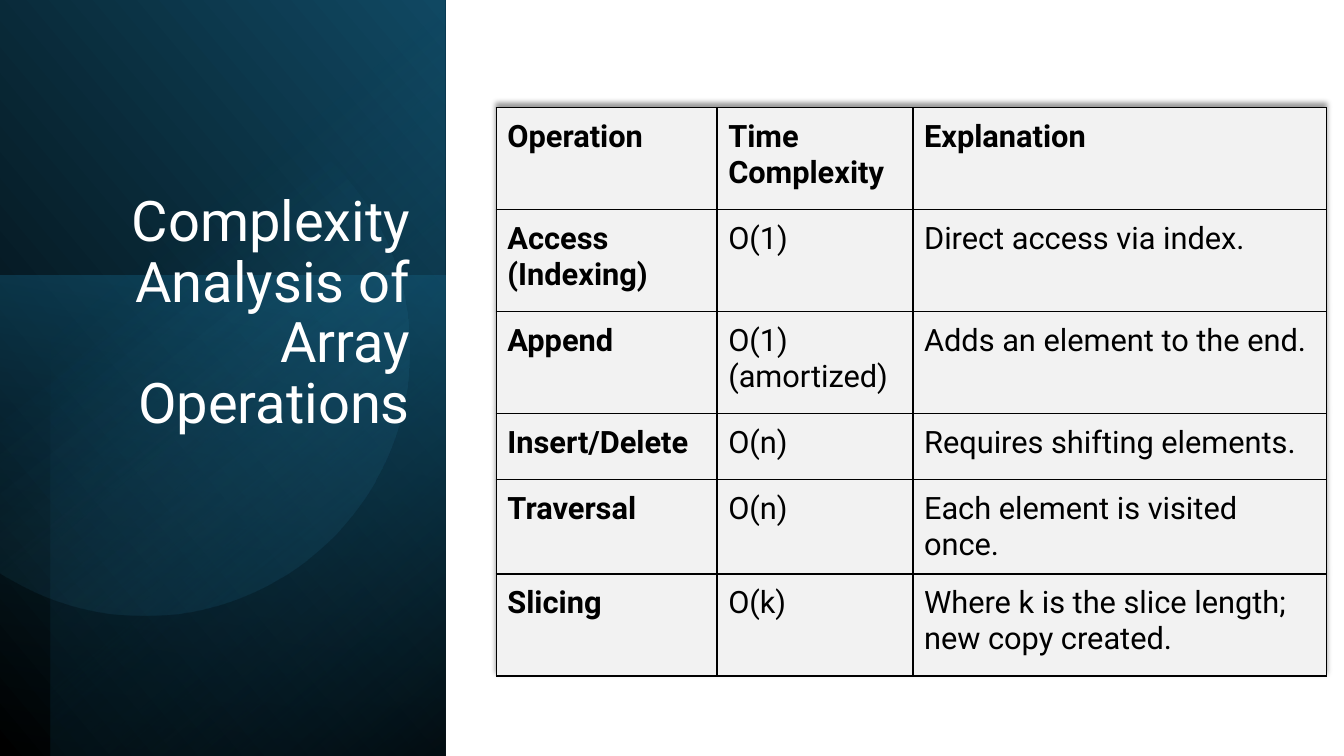
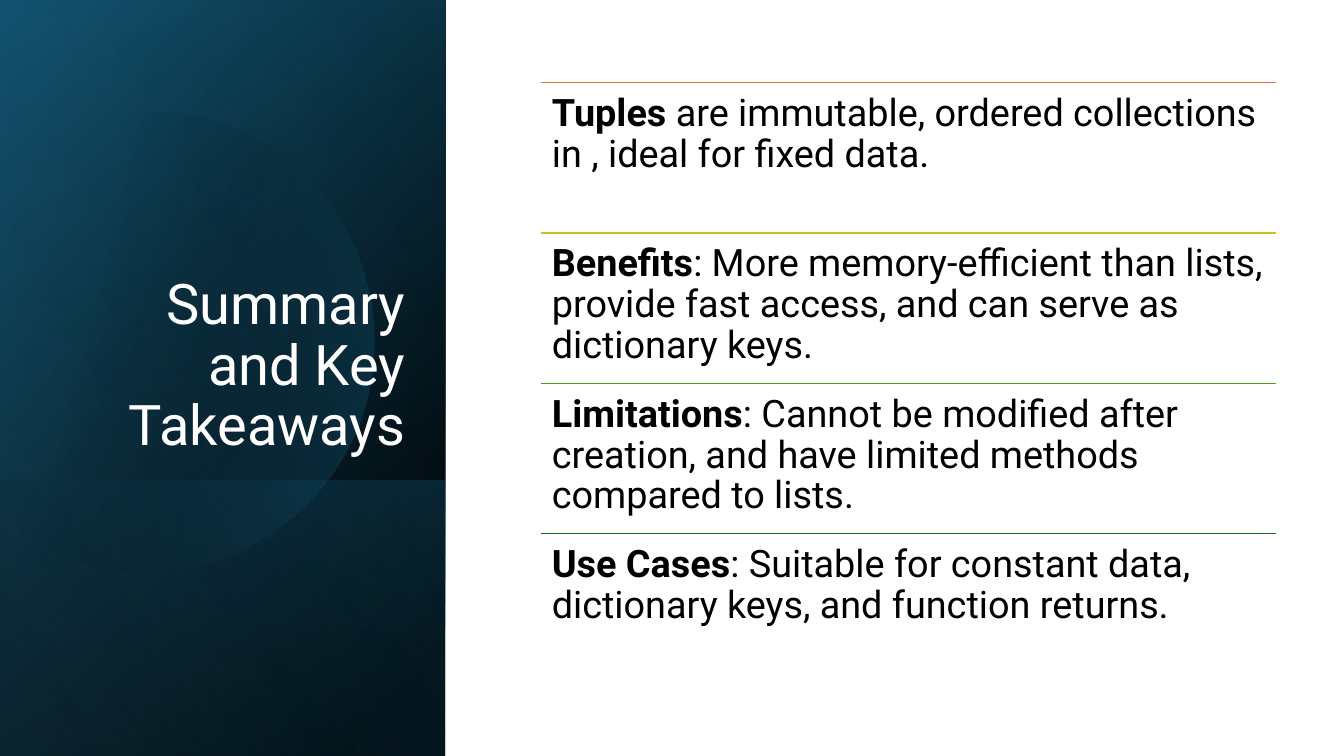
from dataclasses import dataclass
from math import acos, cos, pi, sin

from lxml.etree import SubElement
from pptx import Presentation
from pptx.dml.color import RGBColor
from pptx.enum.shapes import MSO_CONNECTOR as CONN, MSO_SHAPE as SHAPE
from pptx.enum.text import MSO_ANCHOR as ANCHOR, MSO_AUTO_SIZE as AUTOSIZE, PP_ALIGN as ALIGN
from pptx.oxml import parse_xml
from pptx.oxml.ns import nsdecls, qn
from pptx.util import Pt


@dataclass(frozen=True)
class Theme:
    font: str = "Roboto"
    black: str = "000000"
    white: str = "FFFFFF"
    cell: str = "F2F2F2"
    deep: str = "104862"
    night: str = "0B3041"
    teal: str = "156082"
    sky: str = "46B1E1"
    rules: tuple = ("E97132", "CBC11E", "56991D", "196B24")
    title_size: int = 40
    body_size: int = 27
    table_size: int = 22
    inset: int = 8
    side_w: int = 318


T = Theme()
rgb = RGBColor.from_string

OPERATIONS = [
    ("Operation", "Time Complexity", "Explanation"),
    ("Access (Indexing)", "O(1)", "Direct access via index."),
    ("Append", "O(1) (amortized)", "Adds an element to the end."),
    ("Insert/Delete", "O(n)", "Requires shifting elements."),
    ("Traversal", "O(n)", "Each element is visited once."),
    ("Slicing", "O(k)", "Where k is the slice length; new copy created."),
]

TAKEAWAYS = [
    ("Tuples", " are immutable, ordered collections in , ideal for fixed data."),
    ("Benefits", ": More memory-efficient than lists, provide fast access, "
                 "and can serve as dictionary keys."),
    ("Limitations", ": Cannot be modified after creation, and have limited "
                    "methods compared to lists."),
    ("Use Cases", ": Suitable for constant data, dictionary keys, and function returns."),
]


def add_text(p, text, size=T.body_size, color=T.black, bold=False, align=None, spacing=None):
    """Append one formatted run to paragraph p."""
    r = p.add_run()
    r.text = text
    r.font.name, r.font.size, r.font.bold = T.font, Pt(size), bold
    r.font.color.rgb = rgb(color)
    if align is not None:
        p.alignment = align
    if spacing is not None:
        p.line_spacing = spacing


def set_insets(frame):
    """Give a text frame or a table cell the common inset on all sides."""
    frame.margin_left = frame.margin_right = Pt(T.inset)
    frame.margin_top = frame.margin_bottom = Pt(T.inset)


def set_borders(cell, color=T.black, width=1):
    tc_pr = cell._tc.get_or_add_tcPr()
    for i, side in enumerate(("lnL", "lnR", "lnT", "lnB")):
        tc_pr.insert(i, parse_xml(
            f'<a:{side} {nsdecls("a")} w="{Pt(width)}"><a:solidFill>'
            f'<a:srgbClr val="{color}"/></a:solidFill></a:{side}>'))


class Deck:
    def __init__(self):
        self.prs = Presentation()
        self.prs.slide_width, self.prs.slide_height = Pt(960), Pt(540)
        self.s = None

    def new_slide(self):
        self.s = self.prs.slides.add_slide(self.prs.slide_layouts[5])

    def gradient(self, sp, stops, angle):
        """Fill sp with two (position, colour, opacity) stops; angle is clockwise."""
        sp.shadow.inherit = False
        sp.line.fill.background()
        sp.fill.gradient()
        sp.fill.gradient_angle = (360 - angle) % 360
        for stop, (position, color, _) in zip(sp.fill.gradient_stops, stops):
            stop.position = position / 100
            stop.color.rgb = rgb(color)
        for clr, (_, _, opacity) in zip(sp.element.spPr.iter(qn("a:srgbClr")), stops):
            if opacity < 100:
                SubElement(clr, qn("a:alpha")).set("val", str(opacity * 1000))

    def panel(self, stops, angle, x=0, y=0, w=T.side_w, h=540, turn=90, flip=True):
        """Quarter-turned rectangle that covers the box x, y, w, h on the slide."""
        dx = (w - h) / 2
        sp = self.s.shapes.add_shape(SHAPE.RECTANGLE, Pt(x + dx), Pt(y - dx), Pt(h), Pt(w))
        sp.rotation = turn
        if flip:
            sp.element.spPr.find(qn("a:xfrm")).set("flipH", "1")
        self.gradient(sp, stops, angle)

    def disc(self, cx, cy, radius, stops, angle, steps=90):
        """Circle cut off at the left edge of the slide."""
        limit = acos(-cx / radius)
        angles = [limit * (2 * i / steps - 1) for i in range(steps + 1)]
        points = [(Pt(max(0, cx + radius * cos(a))), Pt(cy + radius * sin(a))) for a in angles]
        builder = self.s.shapes.build_freeform(*points[0])
        builder.add_line_segments(points[1:], close=True)
        self.gradient(builder.convert_to_shape(), stops, angle)

    def title(self, text, x, y, w, h):
        sp = self.s.shapes.title
        sp.element.getparent().append(sp.element)  # in front of the panels
        sp.left, sp.top, sp.width, sp.height = Pt(x), Pt(y), Pt(w), Pt(h)
        tf = sp.text_frame
        tf.word_wrap, tf.auto_size, tf.vertical_anchor = True, AUTOSIZE.NONE, ANCHOR.TOP
        add_text(tf.paragraphs[0], text, size=T.title_size, color=T.white,
                 align=ALIGN.RIGHT, spacing=0.9)

    def table(self, rows, x, y, widths, heights):
        frame = self.s.shapes.add_table(len(rows), len(widths), Pt(x), Pt(y),
                                        Pt(sum(widths)), Pt(sum(heights)))
        table = frame.table
        table.first_row = table.horz_banding = False
        table._tbl.tblPr.insert(0, parse_xml(
            f'<a:effectLst {nsdecls("a")}><a:outerShdw blurRad="{Pt(4)}" dist="{Pt(3)}" '
            f'dir="16200000" algn="b" rotWithShape="0"><a:srgbClr val="{T.black}">'
            '<a:alpha val="40000"/></a:srgbClr></a:outerShdw></a:effectLst>'))
        for column, width in zip(table.columns, widths):
            column.width = Pt(width)
        for i, (row, height) in enumerate(zip(rows, heights)):
            table.rows[i].height = Pt(height)
            for j, text in enumerate(row):
                cell = table.cell(i, j)
                cell.fill.solid()
                cell.fill.fore_color.rgb = rgb(T.cell)
                set_insets(cell)
                set_borders(cell)
                add_text(cell.text_frame.paragraphs[0], text, size=T.table_size,
                         bold=i == 0 or j == 0)

    def rule(self, x, y, w, color):
        line = self.s.shapes.add_connector(CONN.STRAIGHT, Pt(x), Pt(y), Pt(x + w), Pt(y))
        line.line.color.rgb, line.line.width = rgb(color), Pt(1)
        SubElement(line.element.spPr, qn("a:effectLst"))

    def takeaway(self, term, text, x, y, w, h):
        tf = self.s.shapes.add_textbox(Pt(x), Pt(y), Pt(w), Pt(h)).text_frame
        tf.word_wrap = True
        set_insets(tf)
        p = tf.paragraphs[0]
        add_text(p, term, bold=True, spacing=0.9)
        add_text(p, text)


def complexity_slide(deck):
    deck.new_slide()
    deck.panel([(0, T.black, 100), (100, T.deep, 100)], 310)
    deck.panel([(0, T.teal, 50), (100, T.night, 0)], 190, y=197, h=343, turn=270, flip=False)
    deck.panel([(0, T.black, 59), (69, T.teal, 0)], 220, x=36, w=T.side_w - 36, turn=270)
    deck.disc(103, 250, 189.5, [(39, T.sky, 0), (100, T.deep, 26)], 51.6)
    deck.title("Complexity Analysis of Array Operations", 54, 134.6, 246, 242)
    tall, low = 72.8, 47
    deck.table(OPERATIONS, 354.5, 77, (157.7, 139.9, 295.2), (tall, tall, tall, low, low, tall))


def summary_slide(deck):
    deck.new_slide()
    deck.panel([(8, T.black, 100), (100, T.deep, 100)], 50)
    deck.panel([(0, T.black, 0), (99, T.teal, 46)], 30)
    deck.panel([(2, T.teal, 29), (100, T.black, 30)], 130, y=343, h=197)
    deck.disc(103, 243.5, 164.5, [(29, T.black, 0), (100, T.teal, 43)], 13.9)
    deck.panel([(0, T.black, 0), (99, T.sky, 11)], 120)
    deck.title("Summary and Key Takeaways", 38, 193.7, 258.5, 94.3)
    x, top, w, pitch = 386.2, 59, 525, 107.4
    for i, ((term, text), color) in enumerate(zip(TAKEAWAYS, T.rules)):
        y = top + i * pitch
        deck.rule(x, y, w, color)
        deck.takeaway(term, text, x, y, w, pitch)


def main():
    deck = Deck()
    complexity_slide(deck)
    summary_slide(deck)
    deck.prs.save("out.pptx")


if __name__ == "__main__":
    main()
